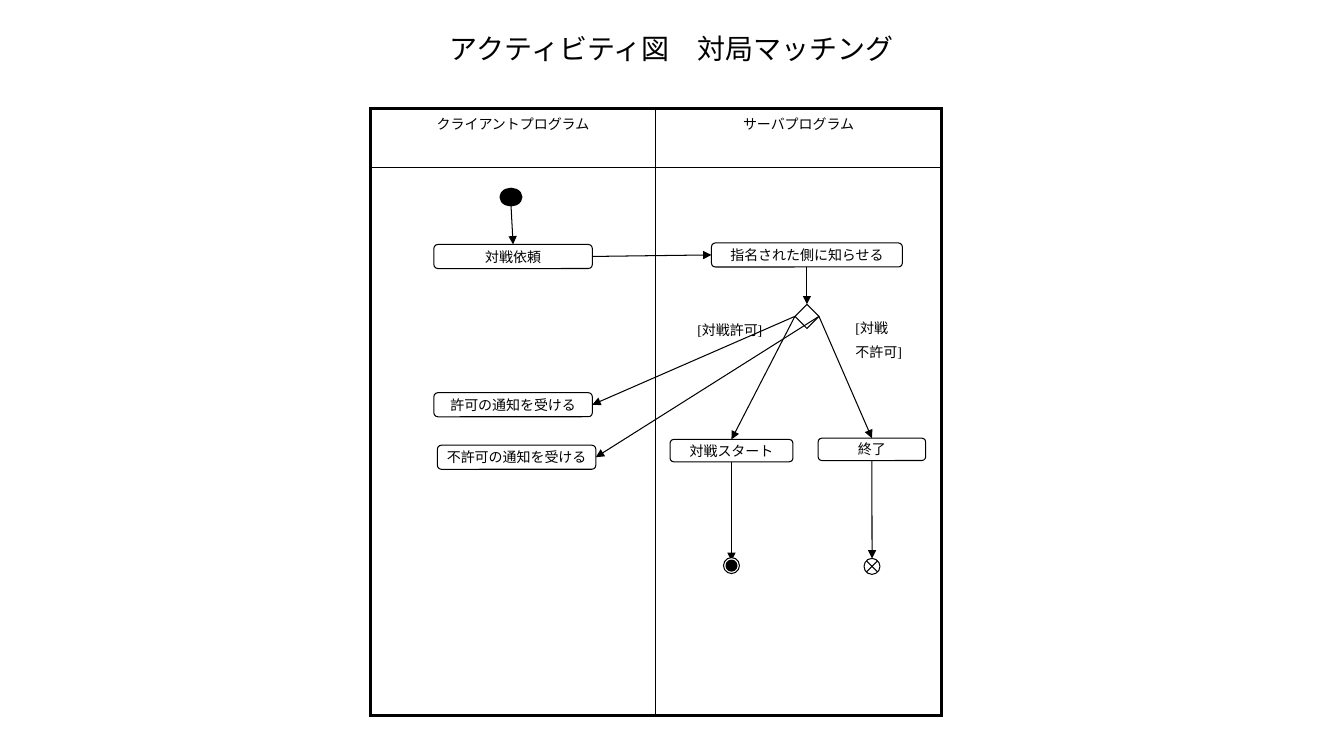
"""Activity diagram of game matching, with client and server swimlanes."""
from typing import NamedTuple

from lxml.etree import SubElement
from pptx import Presentation
from pptx.dml.color import RGBColor
from pptx.enum.shapes import MSO_CONNECTOR, MSO_SHAPE
from pptx.enum.text import MSO_ANCHOR, PP_ALIGN
from pptx.oxml import parse_xml
from pptx.oxml.ns import nsdecls, qn
from pptx.util import Pt

BLACK = RGBColor(0, 0, 0)
WHITE = RGBColor(255, 255, 255)
FONT = "Times New Roman"
TOP, LEFT, BOTTOM, RIGHT = range(4)
SITES = {TOP: (0.5, 0), LEFT: (0, 0.5), BOTTOM: (0.5, 1), RIGHT: (1, 0.5)}


class Node(NamedTuple):
    name: str
    kind: MSO_SHAPE
    x: float
    y: float
    w: float
    h: float
    text: str = ""
    fill: RGBColor = WHITE
    line: float = 0.75


class Flow(NamedTuple):
    source: str
    source_site: int
    target: str
    target_site: int


class Label(NamedTuple):
    x: float
    y: float
    w: float
    h: float
    lines: tuple[str, ...]
    size: float = 10
    align: PP_ALIGN = PP_ALIGN.LEFT
    anchor: MSO_ANCHOR = MSO_ANCHOR.TOP


ACTION, DOT = MSO_SHAPE.ROUNDED_RECTANGLE, MSO_SHAPE.OVAL
NODES = [
    Node("request", ACTION, 309.9, 174.6, 113.2, 17.2, "対戦依頼"),
    Node("notify", ACTION, 508.2, 173.5, 136.4, 17.2, "指名された側に知らせる"),
    Node("initial", DOT, 357.8, 135.1, 14.4, 11.4, fill=BLACK, line=2),
    Node("decision", MSO_SHAPE.DIAMOND, 567.8, 217.4, 17.2, 17.2),
    Node("quit", ACTION, 584.4, 313, 76.8, 16, "終了"),
    Node("play", ACTION, 478.6, 313.9, 87.8, 16, "対戦スタート"),
    Node("refused", ACTION, 312.4, 318, 113.2, 17.2, "不許可の通知を受ける"),
    Node("accepted", ACTION, 309.9, 280.5, 113.2, 17.2, "許可の通知を受ける"),
    Node("final", DOT, 516.8, 398.3, 11.4, 11.4),
    Node("final core", DOT, 519.2, 400.7, 6.6, 6.6, fill=BLACK, line=2),
    Node("flow final", DOT, 617.2, 398.9, 11.4, 11.4),
]
FLOWS = [
    Flow("initial", BOTTOM, "request", TOP),
    Flow("notify", BOTTOM, "decision", TOP),
    Flow("request", RIGHT, "notify", LEFT),
    Flow("decision", LEFT, "play", TOP),
    Flow("decision", RIGHT, "quit", TOP),
    Flow("play", BOTTOM, "final core", TOP),
    Flow("quit", BOTTOM, "flow final", TOP),
    Flow("decision", LEFT, "accepted", RIGHT),
    Flow("decision", RIGHT, "refused", RIGHT),
]
LABELS = [
    Label(120, 19.5, 720, 29.5, ("アクティビティ図　対局マッチング",), 20,
          PP_ALIGN.CENTER, MSO_ANCHOR.MIDDLE),
    Label(491, 226, 62.6, 19.4, ("[対戦許可]",)),
    Label(604, 224.6, 62.6, 37.4, ("[対戦", "不許可]")),
]


def write(tf, lines: tuple[str, ...], size: float, align: PP_ALIGN, before: float) -> None:
    """Fill a text frame with one paragraph per line."""
    tf.text = "\n".join(lines)
    for p in tf.paragraphs:
        p.alignment = align
        p.space_before = Pt(before)
        p.font.name, p.font.size = FONT, Pt(size)
        p.font.color.rgb = BLACK


def set_borders(cell, widths: dict[str, float]) -> None:
    """Draw solid black cell borders, keyed by side letter."""
    tcPr = cell._tc.get_or_add_tcPr()
    for i, (side, width) in enumerate(widths.items()):
        tcPr.insert(i, parse_xml(
            f'<a:ln{side} {nsdecls("a")} w="{Pt(width)}"><a:solidFill>'
            f'<a:srgbClr val="{BLACK}"/></a:solidFill></a:ln{side}>'))


def add_swimlanes(s, names: tuple[str, ...]) -> None:
    """Add the two-lane table with a heavy outer frame."""
    table = s.shapes.add_table(2, len(names), Pt(264.4), Pt(77.4), Pt(408), Pt(433.6)).table
    table.first_row = table.horz_banding = False
    for row, height in zip(table.rows, (42.4, 391.2)):
        row.height = Pt(height)
    for r in range(2):
        for c, name in enumerate(names):
            cell = table.cell(r, c)
            cell.fill.background()
            if r == 0:
                write(cell.text_frame, (name,), 10, PP_ALIGN.CENTER, 2)
            outer = {"L": c == 0, "R": c == len(names) - 1, "T": r == 0, "B": r == 1}
            set_borders(cell, {side: 2.25 if edge else 1 for side, edge in outer.items()})


def add_node(s, node: Node):
    """Add one diagram node and return its shape."""
    sp = s.shapes.add_shape(node.kind, Pt(node.x), Pt(node.y), Pt(node.w), Pt(node.h))
    sp.shadow.inherit = False
    sp.fill.solid()
    sp.fill.fore_color.rgb = node.fill
    sp.line.color.rgb, sp.line.width = BLACK, Pt(node.line)
    if node.text:
        tf = sp.text_frame
        tf.word_wrap, tf.vertical_anchor = False, MSO_ANCHOR.MIDDLE
        write(tf, (node.text,), 10, PP_ALIGN.CENTER, 0)
    return sp


def add_line(s, x1: int, y1: int, x2: int, y2: int):
    """Add a thin black straight line."""
    line = s.shapes.add_connector(MSO_CONNECTOR.STRAIGHT, x1, y1, x2, y2)
    line.line.color.rgb, line.line.width = BLACK, Pt(0.75)
    SubElement(line._element.spPr, qn("a:effectLst"))
    return line


def add_flow(s, flow: Flow, shapes: dict) -> None:
    """Add an arrow between two nodes, glued at four-site shapes."""
    source, target = shapes[flow.source], shapes[flow.target]
    ends = []
    for sp, site in ((source, flow.source_site), (target, flow.target_site)):
        fx, fy = SITES[site]
        ends += [int(sp.left + fx * sp.width), int(sp.top + fy * sp.height)]
    arrow = add_line(s, *ends)
    if source.auto_shape_type != DOT:
        arrow.begin_connect(source, flow.source_site)
    arrow.end_connect(target, flow.target_site)
    SubElement(arrow.line._get_or_add_ln(), qn("a:tailEnd"), type="triangle")


def add_label(s, label: Label) -> None:
    """Add a free text label."""
    tf = s.shapes.add_textbox(Pt(label.x), Pt(label.y), Pt(label.w), Pt(label.h)).text_frame
    tf.word_wrap, tf.vertical_anchor = True, label.anchor
    write(tf, label.lines, label.size, label.align, 5 if len(label.lines) > 1 else 0)


def add_cross(s, sp) -> None:
    """Cross a circle with two diagonals."""
    inset = int(sp.width * 0.15)
    left, right = sp.left + inset, sp.left + sp.width - inset
    top, bottom = sp.top + inset, sp.top + sp.height - inset
    add_line(s, right, top, left, bottom)
    add_line(s, right, bottom, left, top)


prs = Presentation()
prs.slide_width, prs.slide_height = Pt(960), Pt(540)
s = prs.slides.add_slide(prs.slide_layouts[6])
add_swimlanes(s, ("クライアントプログラム", "サーバプログラム"))
shapes = {node.name: add_node(s, node) for node in NODES}
for label in LABELS:
    add_label(s, label)
for flow in FLOWS:
    add_flow(s, flow, shapes)
for name in ("final", "final core"):
    s.shapes._spTree.append(shapes[name]._element)
add_cross(s, shapes["flow final"])
prs.save("out.pptx")
